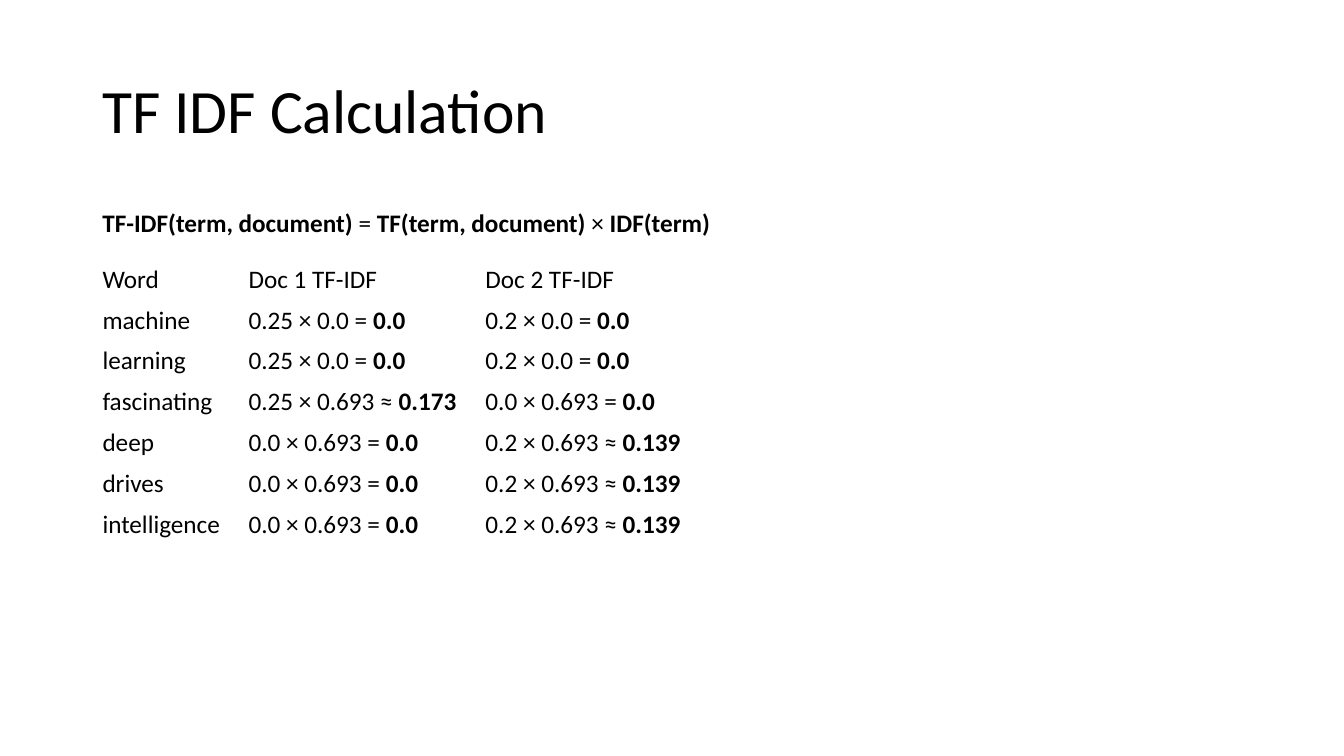
from pptx import Presentation
from pptx.dml.color import RGBColor
from pptx.enum import text
from pptx.util import Cm, Pt

FONT = "Calibri"
INK = "000000"
LEFT = 2.33
ROW_HEIGHT = 1.03
COLUMN_WIDTHS = (3.68, 5.97, 13.0)

# Asterisks enclose bold text
FORMULA = "*TF-IDF(term, document)* = *TF(term, document)* × *IDF(term)*"
SCORES = [
    ("Word", "Doc 1 TF-IDF", "Doc 2 TF-IDF"),
    ("machine", "0.25 × 0.0 = *0.0*", "0.2 × 0.0 = *0.0*"),
    ("learning", "0.25 × 0.0 = *0.0*", "0.2 × 0.0 = *0.0*"),
    ("fascinating", "0.25 × 0.693 ≈ *0.173*", "0.0 × 0.693 = *0.0*"),
    ("deep", "0.0 × 0.693 = *0.0*", "0.2 × 0.693 ≈ *0.139*"),
    ("drives", "0.0 × 0.693 = *0.0*", "0.2 × 0.693 ≈ *0.139*"),
    ("intelligence", "0.0 × 0.693 = *0.0*", "0.2 × 0.693 ≈ *0.139*"),
]


def color(value):
    return RGBColor.from_string(value)


def set_attrs(obj, values):
    for name, value in values.items():
        setattr(obj, name, value)


def write(p, content, size):
    """Add the pieces of a marked-up line as runs."""
    for i, piece in enumerate(content.split("*")):
        if piece:
            r = p.add_run()
            r.text = piece
            set_attrs(r.font, {"name": FONT, "size": Pt(size), "bold": i % 2 == 1})
            r.font.color.rgb = color(INK)


def add_text(s, box, content, size, frame, paragraph):
    tf = s.shapes.add_textbox(*map(Cm, box)).text_frame
    set_attrs(tf, frame)
    p = tf.paragraphs[0]
    set_attrs(p, paragraph)
    write(p, content, size)


def add_score_table(s, left, top):
    size = Cm(sum(COLUMN_WIDTHS)), Cm(ROW_HEIGHT * len(SCORES))
    table = s.shapes.add_table(len(SCORES), len(COLUMN_WIDTHS),
                               Cm(left), Cm(top), *size).table
    set_attrs(table, {"first_row": False, "horz_banding": False})
    for column, width in zip(table.columns, COLUMN_WIDTHS):
        column.width = Cm(width)
    for row, values in zip(table.rows, SCORES):
        row.height = Cm(ROW_HEIGHT)
        for cell, value in zip(row.cells, values):
            cell.fill.background()
            cell.vertical_anchor = text.MSO_ANCHOR.MIDDLE
            write(cell.text_frame.paragraphs[0], value, 18)


def main():
    prs = Presentation()
    set_attrs(prs, {"slide_width": Cm(33.87), "slide_height": Cm(19.05)})
    s = prs.slides.add_slide(prs.slide_layouts[6])

    # Title
    add_text(s, (LEFT, 1.01, 29.21, 3.68), "TF IDF Calculation", 44,
             {"word_wrap": True, "vertical_anchor": text.MSO_ANCHOR.MIDDLE},
             {"line_spacing": 0.9})

    # Scores per word and document
    add_score_table(s, LEFT, 6.53)

    # Formula
    add_text(s, (LEFT, 5.11, 15.98, 1.03), FORMULA, 18,
             {"word_wrap": False, "auto_size": text.MSO_AUTO_SIZE.SHAPE_TO_FIT_TEXT},
             {"alignment": text.PP_ALIGN.LEFT})

    prs.save("out.pptx")


if __name__ == "__main__":
    main()
